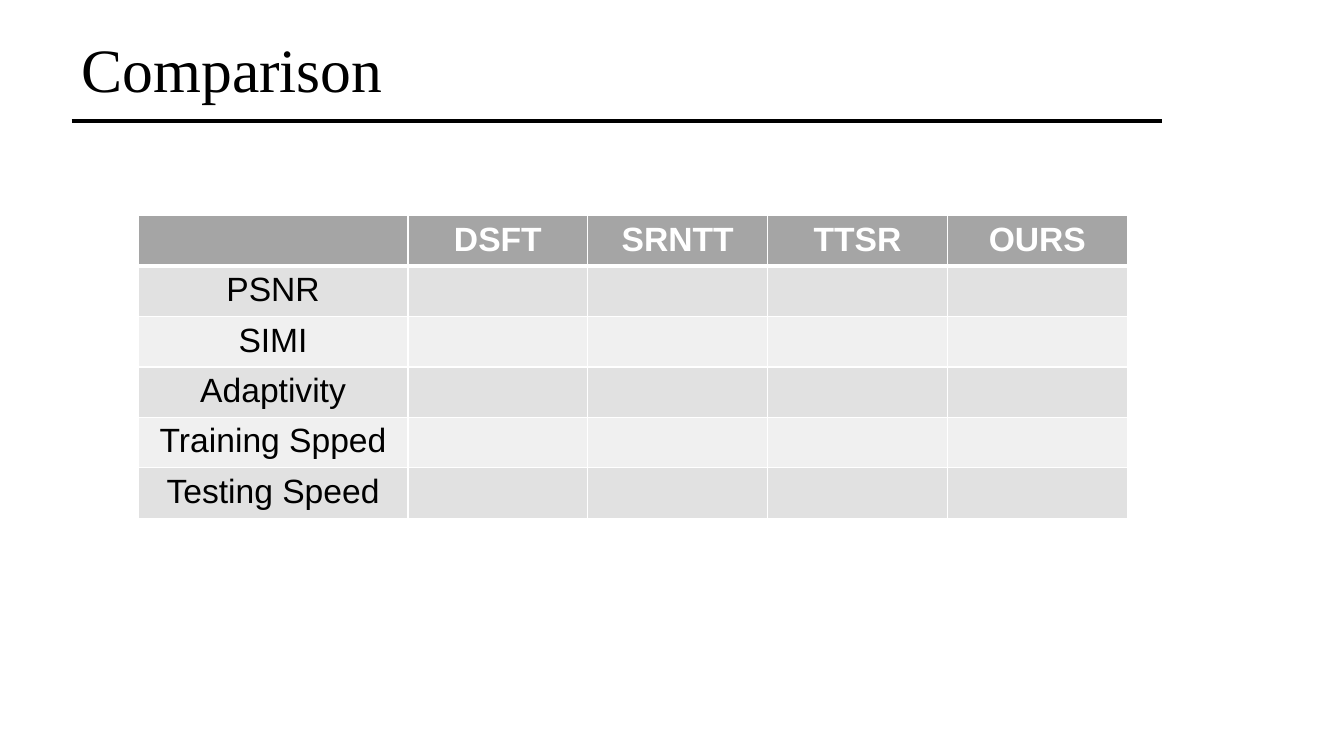
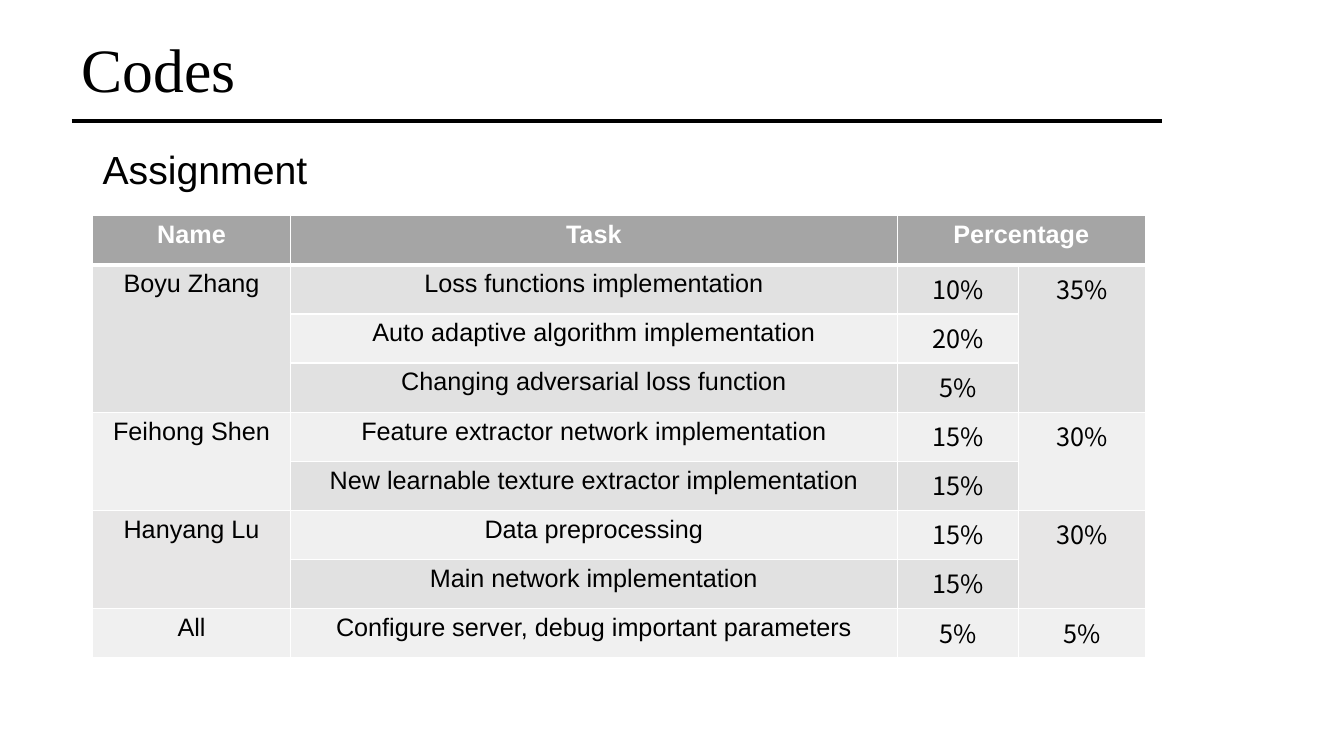
from lxml import etree
from pptx import Presentation
from pptx import util as u
from pptx.dml.color import RGBColor
from pptx.enum import shapes, text
from pptx.oxml import ns

WIDTH, HEIGHT = u.Inches(13.33), u.Inches(7.5)
BLACK, WHITE = "000000", "FFFFFF"
HEADER, DARK, LIGHT, WARM = "A5A5A5", "E1E1E1", "F0F0F0", "E7E6E6"
SERIF, SANS, FIGURES = "Times New Roman", "Arial", "Noto Sans CJK SC"
LEFT, TABLE_TOP = 6.9, 28.53


def color(value):
    return RGBColor.from_string(value)


def place(left, top, width, height):
    return (round(WIDTH * left / 100), round(HEIGHT * top / 100),
            round(WIDTH * width / 100), round(HEIGHT * height / 100))


def write(frame, words, size, font=SANS, hue=BLACK, bold=False, **layout):
    paragraph = frame.paragraphs[0]
    for name, value in layout.items():
        setattr(paragraph, name, value)
    run = paragraph.add_run()
    run.text = words
    for name, value in dict(name=font, size=u.Pt(size), bold=bold).items():
        setattr(run.font, name, value)
    run.font.color.rgb = color(hue)


def add_label(slide, box, words, size, font, anchor):
    frame = slide.shapes.add_textbox(*place(*box)).text_frame
    frame.word_wrap = True
    frame.vertical_anchor = anchor
    write(frame, words, size, font, line_spacing=0.9)


def add_heading(slide, title):
    add_label(slide, (5.33, 0, 86.27, 19.33), title, 44, SERIF, text.MSO_ANCHOR.MIDDLE)
    left, top, width, _ = place(5.33, 16, 81.1, 0)
    rule = slide.shapes.add_connector(
        shapes.MSO_CONNECTOR.STRAIGHT, left, top, left + width, top)
    rule.line.color.rgb = color(BLACK)
    rule.line.width = u.Pt(2.25)
    etree.SubElement(rule._element.spPr, ns.qn("a:effectLst"))


def style_cell(cell, fill, edges):
    properties = cell._tc.get_or_add_tcPr()
    for side, points in edges.items():
        edge = etree.SubElement(properties, ns.qn(f"a:ln{side}"), w=str(u.Pt(points)))
        paint = etree.SubElement(edge, ns.qn("a:solidFill"))
        etree.SubElement(paint, ns.qn("a:srgbClr"), val=WHITE)
    cell.fill.solid()
    cell.fill.fore_color.rgb = color(fill)


def fill_cell(cell, words, size, font=SANS, header=False):
    write(cell.text_frame, words, size, font, WHITE if header else BLACK,
          header, alignment=text.PP_ALIGN.CENTER)


def add_grid(slide, box, shares, headings, row_count, size, fills=None):
    left, top, width, height = place(*box)
    grid = slide.shapes.add_table(
        row_count, len(shares), left, top, width, height).table
    for column, share in zip(grid.columns, shares):
        column.width = round(width * share / sum(shares))
    for row_index, row in enumerate(grid.rows):
        stripe = DARK if row_index % 2 else LIGHT
        edges = dict(L=1, R=1, T=3 if row_index == 1 else 1,
                     B=3 if row_index == 0 else 1)
        for column_index, cell in enumerate(row.cells):
            fill = (fills or {}).get((row_index, column_index), stripe)
            style_cell(cell, fill if row_index else HEADER, edges)
    for column_index, heading in enumerate(headings):
        if heading:
            fill_cell(grid.cell(0, column_index), heading, size, header=True)
    return grid


def build_comparison(slide):
    add_heading(slide, "Comparison")
    measures = ["PSNR", "SIMI", "Adaptivity", "Training Spped", "Testing Speed"]
    grid = add_grid(slide, (10.28, TABLE_TOP, 73.6, 32.8), [3, 2, 2, 2, 2],
                    ["", "DSFT", "SRNTT", "TTSR", "OURS"], len(measures) + 1, 24)
    for row_index, measure in enumerate(measures, 1):
        fill_cell(grid.cell(row_index, 0), measure, 24)


def build_assignment(slide):
    add_heading(slide, "Codes")
    add_label(slide, (LEFT, 19.33, 20.85, 8.67), "Assignment", 28, SANS,
              text.MSO_ANCHOR.TOP)
    members = [
        ("Boyu Zhang", "35%", [("Loss functions implementation", "10%"),
                               ("Auto adaptive algorithm implementation", "20%"),
                               ("Changing adversarial loss function", "5%")]),
        ("Feihong Shen", "30%", [("Feature extractor network implementation", "15%"),
                                 ("New learnable texture extractor implementation", "15%")]),
        ("Hanyang Lu", "30%", [("Data preprocessing", "15%"),
                               ("Main network implementation", "15%")]),
        ("All", "5%", [("Configure server, debug important parameters", "5%")]),
    ]
    row_count = 1 + sum(len(tasks) for _, _, tasks in members)
    grid = add_grid(slide, (LEFT, TABLE_TOP, 78.32, 58.5), [1.96, 6.02, 1.2, 1.26],
                    ["Name", "Task", "Percentage"], row_count, 18,
                    {(6, 0): WARM, (6, 3): WARM})
    grid.cell(0, 2).merge(grid.cell(0, 3))
    first = 1
    for member, total, tasks in members:
        last = first + len(tasks) - 1
        for column, words, font in ((0, member, SANS), (3, total, FIGURES)):
            if last > first:
                grid.cell(first, column).merge(grid.cell(last, column))
            fill_cell(grid.cell(first, column), words, 18, font)
        for row_index, (task, share) in enumerate(tasks, first):
            fill_cell(grid.cell(row_index, 1), task, 18)
            fill_cell(grid.cell(row_index, 2), share, 18, FIGURES)
        first = last + 1


def main():
    deck = Presentation()
    deck.slide_width, deck.slide_height = WIDTH, HEIGHT
    for build in (build_comparison, build_assignment):
        build(deck.slides.add_slide(deck.slide_layouts[6]))
    deck.save("out.pptx")


if __name__ == "__main__":
    main()
